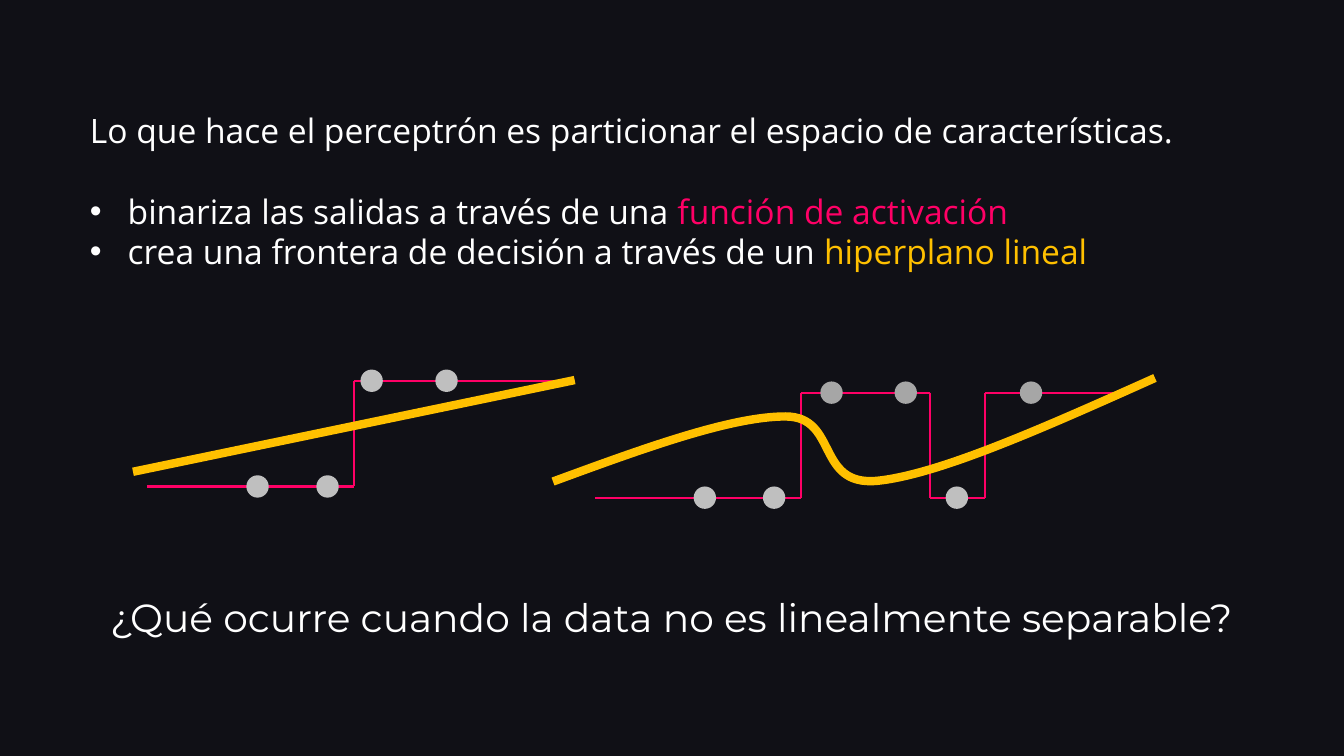
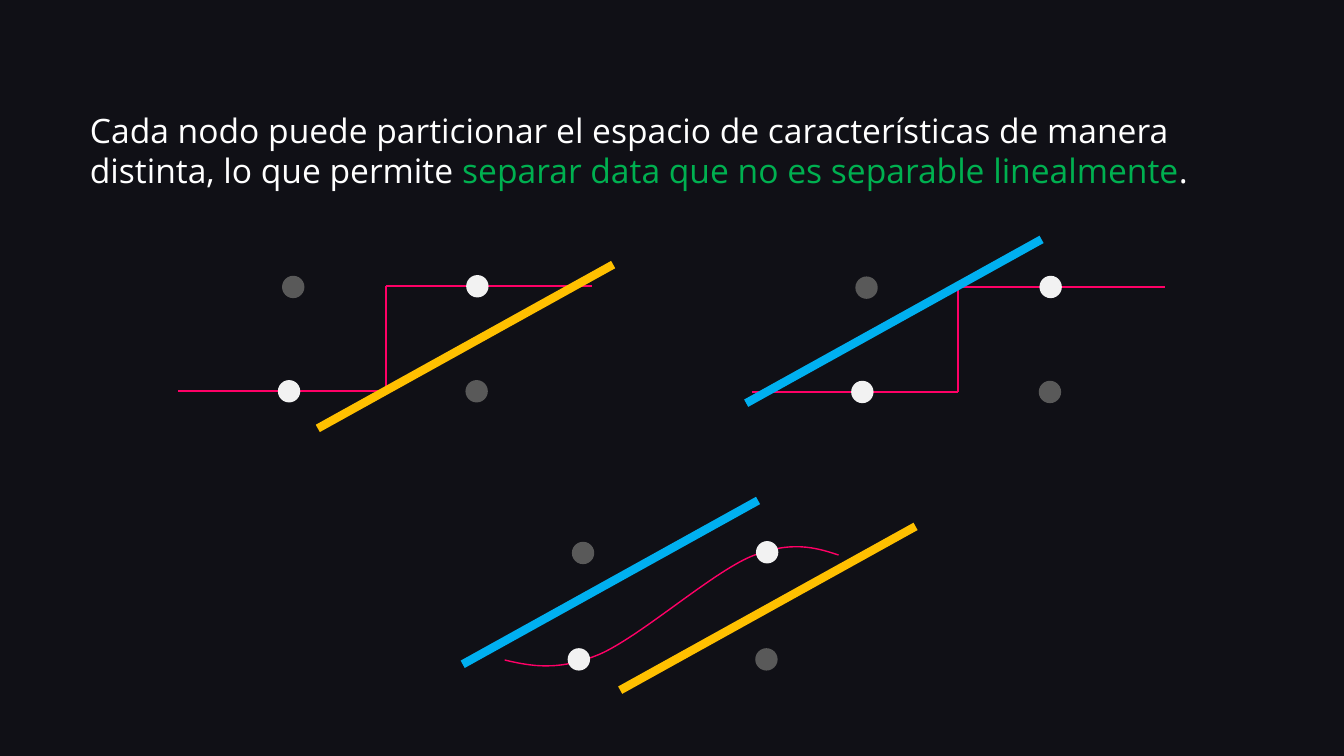
from itertools import pairwise
from lxml.etree import SubElement
from pptx import Presentation
from pptx.dml.color import RGBColor
from pptx.enum.shapes import MSO_CONNECTOR, MSO_SHAPE
from pptx.enum.text import MSO_ANCHOR, MSO_AUTO_SIZE, PP_ALIGN
from pptx.oxml.ns import qn
from pptx.util import Pt

# Shared style
BACK, WHITE, PINK, GOLD = "101016", "FFFFFF", "FF0066", "FFC000"
BLUE, GREEN = "00B0F0", "00B050"
SILVER, STEEL, PALE, DARK = "BFBFBF", "A6A6A6", "F2F2F2", "595959"
LEFT, WIDE, TOP = 57, 845, 75
DOT = 16
SLOPE = (211, -117)

# Text: paragraphs are lists of (text, colour) runs
INTRO = [[("Lo que hace el perceptrón es particionar el espacio de características.", WHITE)]]
POINTS = [
    [("binariza las salidas a través de una ", WHITE), ("función de activación", PINK)],
    [("crea una frontera de decisión a través de un ", WHITE), ("hiperplano lineal", GOLD)],
]
QUERY = [[("¿Qué ocurre cuando la data no es linealmente separable?", WHITE)]]
NODES = [[
    ("Cada nodo puede particionar el espacio de características de manera distinta, "
     "lo que permite ", WHITE),
    ("separar data que no es separable linealmente", GREEN),
    (".", WHITE),
]]

# Step plots: x of each corner, low and high level, dots on each level
PLOTS = [
    dict(xs=(105, 253, 400), low=347.5, high=272,
         lows=(184, 234), highs=(265.5, 319), tint=SILVER),
    dict(xs=(425, 572, 664, 703.5, 795), low=355.5, high=280.5,
         lows=(503.5, 553, 683.5), highs=(594, 647, 736.5), tint=STEEL),
]
WAVE = [(395, 344), (459, 320.5), (522, 297.5), (561, 297.5),
        (599, 297.5), (582.5, 347.5), (626.5, 343.5),
        (671, 339), (748, 304.5), (825, 270)]

# Four-dot plots: left dot, levels, step corners, cuts as (x, y, colour)
QUADS = [
    dict(x=206.5, low=279.5, high=204.5, xs=(127.5, 275.5, 423), cuts=[(227, 306, GOLD)]),
    dict(x=616, low=280, high=205, xs=(537, 684.5, 832), cuts=[(533, 288, BLUE)]),
    dict(x=413.5, low=471, high=394.5, xs=(),
         cuts=[(330.5, 474.5, BLUE), (443, 493, GOLD)]),
]
ARC = [(360.5, 471.5), (379.5, 476), (399, 479.5), (428, 467.5),
       (457, 455), (508, 409.5), (536.5, 397.5),
       (565, 386), (582.5, 391), (599, 396.5)]


def hue(code):
    return RGBColor.from_string(code)


def write(box, paras, top, high, size=24, font="Open Sans", align=PP_ALIGN.LEFT):
    box.left, box.top, box.width, box.height = Pt(LEFT), Pt(top), Pt(WIDE), Pt(high)
    frame = box.text_frame
    frame.word_wrap = True
    frame.auto_size = MSO_AUTO_SIZE.NONE
    frame.vertical_anchor = MSO_ANCHOR.TOP
    for i, runs in enumerate(paras):
        para = frame.add_paragraph() if i else frame.paragraphs[0]
        para.alignment = align
        para.space_before = Pt(0)
        for text, tint in runs:
            run = para.add_run()
            run.text = text
            run.font.size, run.font.name = Pt(size), font
            run.font.color.rgb = hue(tint)


def line(slide, start, end, tint, width):
    link = slide.shapes.add_connector(
        MSO_CONNECTOR.STRAIGHT, *(Pt(v) for v in (*start, *end)))
    link.line.color.rgb = hue(tint)
    link.line.width = Pt(width)
    SubElement(link._element.spPr, qn("a:effectLst"))


def step(slide, xs, low, high):
    path = []
    for i, (a, b) in enumerate(pairwise(xs)):
        y = high if i % 2 else low
        path += [(a, y), (b, y)]
    for start, end in pairwise(path):
        line(slide, start, end, PINK, 1.5)


def dot(slide, x, y, tint):
    disc = slide.shapes.add_shape(
        MSO_SHAPE.OVAL, Pt(x - DOT / 2), Pt(y - DOT / 2), Pt(DOT), Pt(DOT))
    disc.shadow.inherit = False
    disc.fill.solid()
    disc.fill.fore_color.rgb = hue(tint)
    disc.line.fill.background()


def curve(slide, knots, tint, width):
    knots = [(Pt(x), Pt(y)) for x, y in knots]
    pen = slide.shapes.build_freeform(*knots[0])
    pen.add_line_segments(knots[1:], close=False)
    form = pen.convert_to_shape()
    form.shadow.inherit = False
    form.fill.background()
    form.line.color.rgb = hue(tint)
    form.line.width = Pt(width)
    # Every three straight segments become one cubic segment
    legs = list(form._element.iter(qn("a:lnTo")))
    for i in range(0, len(legs), 3):
        cubic = SubElement(legs[i].getparent(), qn("a:cubicBezTo"))
        for leg in legs[i:i + 3]:
            cubic.append(leg[0])
            leg.getparent().remove(leg)


def first(deck):
    slide = deck.slides.add_slide(deck.slide_layouts[1])
    write(slide.shapes.title, INTRO, TOP, 36)
    write(slide.placeholders[1], POINTS, 132.5, 66)
    ask = slide.shapes.add_textbox(0, 0, 0, 0)
    write(ask, QUERY, 420.5, 42, size=28, font="Montserrat", align=PP_ALIGN.CENTER)
    for plot in PLOTS:
        low, high = plot["low"], plot["high"]
        step(slide, plot["xs"], low, high)
        for x in plot["lows"]:
            dot(slide, x, low, SILVER)
        for x in plot["highs"]:
            dot(slide, x, high, plot["tint"])
    line(slide, (95, 337), (410.5, 271.5), GOLD, 6)
    curve(slide, WAVE, GOLD, 6)


def second(deck):
    slide = deck.slides.add_slide(deck.slide_layouts[5])
    write(slide.shapes.title, NODES, TOP, 65.5)
    curve(slide, ARC, PINK, 1)
    for quad in QUADS:
        x, low, high = quad["x"], quad["low"], quad["high"]
        step(slide, quad["xs"], low, high)
        for dx, y, tint in ((0, low, PALE), (134, low, DARK),
                            (3, high + 0.5, DARK), (134.5, high, PALE)):
            dot(slide, x + dx, y, tint)
        for a, b, tint in quad["cuts"]:
            line(slide, (a, b), (a + SLOPE[0], b + SLOPE[1]), tint, 6)


def main():
    deck = Presentation()
    deck.slide_width, deck.slide_height = Pt(960), Pt(540)
    fill = deck.slide_master.background.fill
    fill.solid()
    fill.fore_color.rgb = hue(BACK)
    first(deck)
    second(deck)
    deck.save("out.pptx")


if __name__ == "__main__":
    main()
